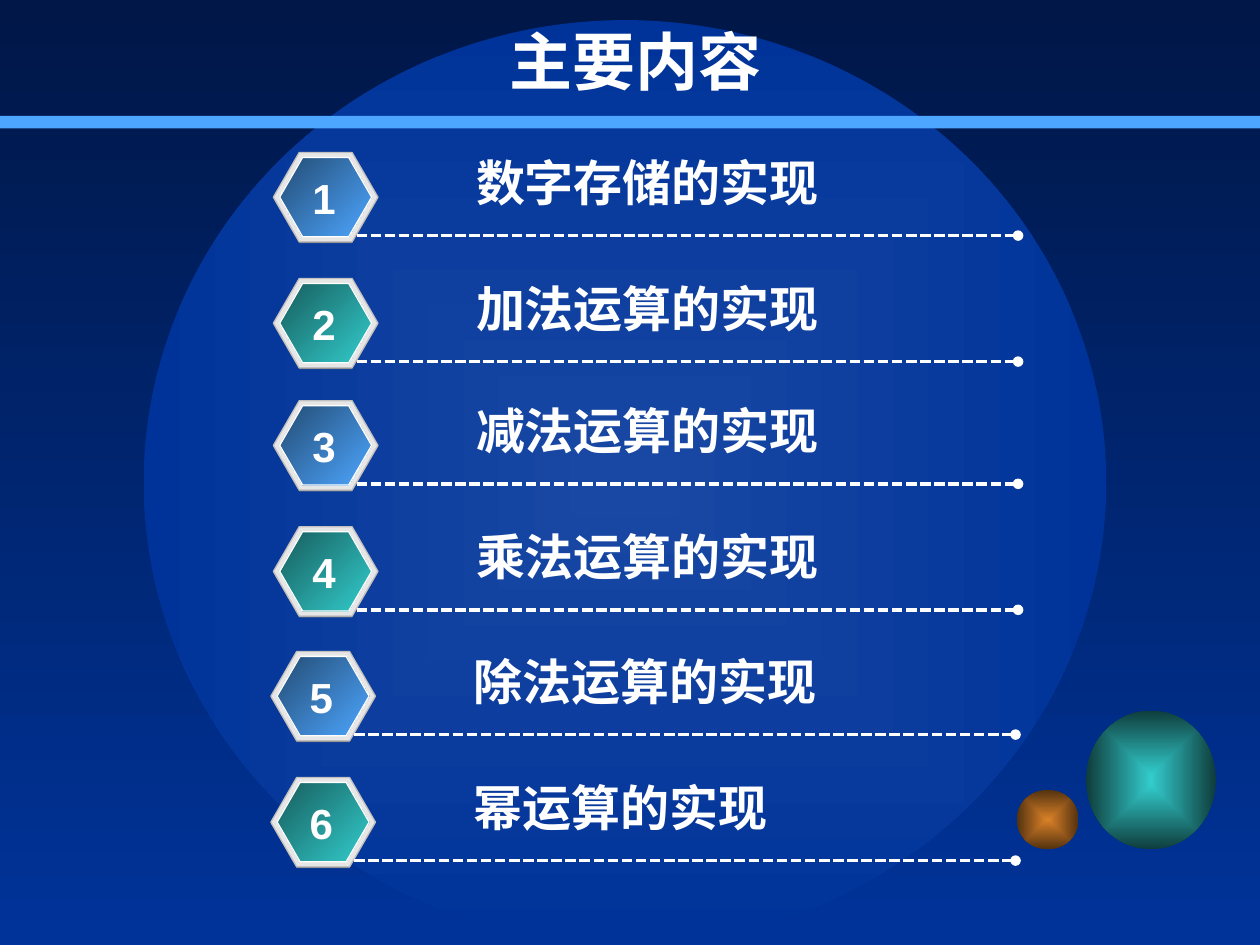
from typing import NamedTuple

from lxml.etree import SubElement
from pptx import Presentation
from pptx.dml.color import RGBColor
from pptx.enum.dml import MSO_LINE
from pptx.enum.shapes import MSO_CONNECTOR, MSO_SHAPE as Shape
from pptx.enum.text import MSO_ANCHOR, MSO_AUTO_SIZE, PP_ALIGN
from pptx.oxml.ns import qn
from pptx.util import Inches, Pt

WHITE = "FFFFFF"
BLUE = ("234C74", "4DA6FF")
TEAL = ("175D5D", "33CCCC")
LABEL_SIZE = 28


class Topic(NamedTuple):
    label: str
    x: float
    y: float


class Ball(NamedTuple):
    box: tuple
    inner: str
    outer: str


TOPICS = [
    Topic("数字存储的实现", 2.17, 1.21),
    Topic("加法运算的实现", 2.17, 2.21),
    Topic("减法运算的实现", 2.17, 3.18),
    Topic("乘法运算的实现", 2.17, 4.18),
    Topic("除法运算的实现", 2.15, 5.17),
    Topic("幂运算的实现", 2.15, 6.17),
]
BALLS = [
    Ball((1.14, 0.16, 7.64, 7.34), "1948A4", "003399"),
    Ball((8.62, 5.64, 1.03, 1.1), "33CCCC", "0F3D3D"),
    Ball((8.07, 6.27, 0.49, 0.47), "D88028", "54320F"),
]


def rgb(value: str) -> RGBColor:
    return RGBColor.from_string(value)


def set_gradient(fill, colors: tuple, clockwise: float = 0) -> None:
    fill.gradient()
    fill.gradient_angle = 360 - clockwise
    for stop, color in zip(fill.gradient_stops, colors):
        stop.color.rgb = rgb(color)


def center_gradient(sp) -> None:
    """Make the gradient spread from the middle of the shape."""
    grad = sp.element.spPr.find(qn("a:gradFill"))
    grad.remove(grad.find(qn("a:lin")))
    path = SubElement(grad, qn("a:path"), path="rect")
    SubElement(path, qn("a:fillToRect"), dict.fromkeys("ltrb", "50000"))


def add_shape(shapes, kind, box: tuple, fill, line: str | None = None,
              clockwise: float = 0):
    sp = shapes.add_shape(kind, *map(Inches, box))
    sp.shadow.inherit = False
    if isinstance(fill, tuple):
        set_gradient(sp.fill, fill, clockwise)
    else:
        sp.fill.solid()
        sp.fill.fore_color.rgb = rgb(fill)
    if line:
        sp.line.color.rgb = rgb(line)
        sp.line.width = Pt(0.75)
    else:
        sp.line.fill.background()
    return sp


def add_text(shapes, text: str, box: tuple, *, size: float, font: str,
             align=PP_ALIGN.LEFT, anchor=MSO_ANCHOR.TOP, wrap: bool = False):
    tf = shapes.add_textbox(*map(Inches, box)).text_frame
    tf.word_wrap = wrap
    tf.auto_size = MSO_AUTO_SIZE.NONE if wrap else MSO_AUTO_SIZE.SHAPE_TO_FIT_TEXT
    tf.vertical_anchor = anchor
    p = tf.paragraphs[0]
    p.alignment = align
    r = p.add_run()
    r.text = text
    r.font.size = Pt(size)
    r.font.bold = True
    r.font.color.rgb = rgb(WHITE)
    r.font.name = font
    SubElement(r.font._element, qn("a:ea"), typeface=font)


def add_hexagon(shapes, box: tuple, fill, **kwargs) -> None:
    sp = add_shape(shapes, Shape.HEXAGON, box, fill, **kwargs)
    sp.adjustments[0] = 0.289


def add_dotted_line(shapes, x: float, y: float, length: float) -> None:
    cx = shapes.add_connector(MSO_CONNECTOR.STRAIGHT, Inches(x), Inches(y),
                              Inches(x + length), Inches(y))
    cx.line.color.rgb = rgb(WHITE)
    cx.line.width = Pt(2)
    cx.line.dash_style = MSO_LINE.SQUARE_DOT
    SubElement(cx.line._get_or_add_ln(), qn("a:tailEnd"), type="oval")
    SubElement(cx.element.spPr, qn("a:effectLst"))


def add_topic(s, number: int, topic: Topic) -> None:
    shapes = s.shapes.add_group_shape().shapes
    label, x, y = topic
    add_hexagon(shapes, (x, y + 0.01, 0.83, 0.71), "808080")
    add_hexagon(shapes, (x, y, 0.83, 0.71), "E6E6E6", line="C0C0C0")
    add_hexagon(shapes, (x + 0.05, y + 0.04, 0.73, 0.63),
                BLUE if number % 2 else TEAL, line=WHITE, clockwise=45)
    add_dotted_line(shapes, x + 0.66, y + 0.66, 5.25)
    width = len(label) * LABEL_SIZE / 72 + 0.2
    add_text(shapes, label, (x + 1.51, y - 0.05, width, 0.57),
             size=LABEL_SIZE, font="Noto Sans CJK SC")
    add_text(shapes, str(number), (x + 0.21, y + 0.11, 0.38, 0.5),
             size=24, font="Arial", align=PP_ALIGN.CENTER)


def main() -> None:
    prs = Presentation()
    prs.slide_width, prs.slide_height = Inches(10), Inches(7.5)
    s = prs.slides.add_slide(prs.slide_layouts[6])
    set_gradient(s.background.fill, ("001747", "003399"), 90)

    for ball in BALLS:
        sp = add_shape(s.shapes, Shape.OVAL, ball.box, (ball.inner, ball.outer))
        center_gradient(sp)
    add_shape(s.shapes, Shape.RECTANGLE, (0, 0.92, 10, 0.1), "4DA6FF")
    add_text(s.shapes, "主要内容", (0.58, 0.17, 8.92, 0.62), size=36,
             font="DejaVu Sans", align=PP_ALIGN.CENTER,
             anchor=MSO_ANCHOR.MIDDLE, wrap=True)
    for number, topic in enumerate(TOPICS, 1):
        add_topic(s, number, topic)

    prs.save("out.pptx")


if __name__ == "__main__":
    main()
